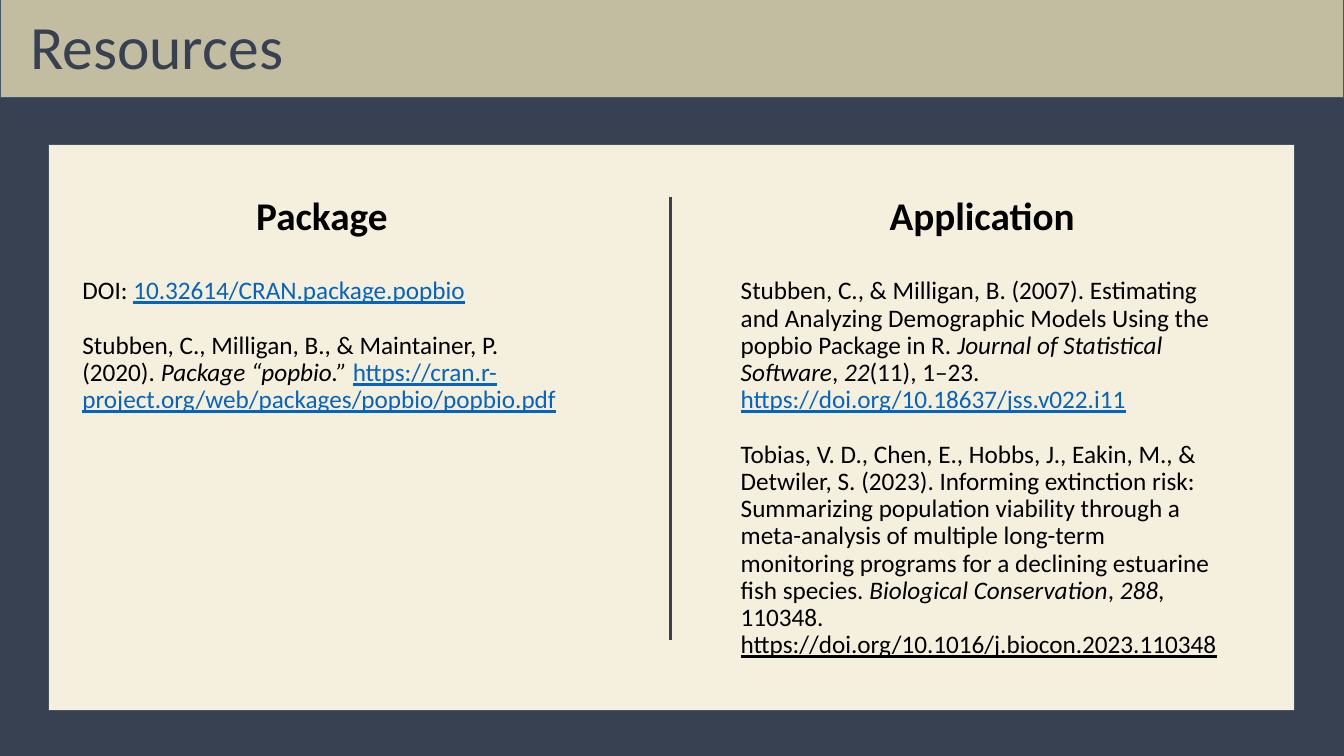
from dataclasses import dataclass

from lxml.etree import SubElement
from pptx import Presentation
from pptx.dml.color import RGBColor
from pptx.enum.shapes import MSO_CONNECTOR, MSO_SHAPE
from pptx.enum.text import MSO_ANCHOR, PP_ALIGN
from pptx.oxml.ns import qn
from pptx.util import Pt


@dataclass(frozen=True)
class Theme:
    font: str = "Calibri"
    navy: str = "374151"
    cream: str = "F5F0DE"
    gold: str = "FEF1C4"
    edge: str = "44546A"
    ink: str = "000000"
    link: str = "0563C1"
    title: int = 44
    head: int = 28
    body: int = 18


THEME = Theme()
PLAIN, ITALIC, LINK, UNDER = "plain", "italic", "link", "under"
WIDE, HIGH = 960, 540
COL_W = 359
HEAD_Y, HEAD_H = 133.2, 50.4
BODY_Y = 195.1

PACKAGE = [
    [("DOI: ", PLAIN), ("10.32614/CRAN.package.popbio", LINK)],
    [
        ("Stubben, C., Milligan, B., & Maintainer, P. (2020). ", PLAIN),
        ("Package “popbio.” ", ITALIC),
        ("https://cran.r-project.org/web/packages/popbio/popbio.pdf", LINK),
    ],
]
APPLICATION = [
    [
        ("Stubben, C., & Milligan, B. (2007). Estimating and Analyzing "
         "Demographic Models Using the popbio Package in R. ", PLAIN),
        ("Journal of Statistical Software", ITALIC),
        (", ", PLAIN),
        ("22", ITALIC),
        ("(11), 1–23. ", PLAIN),
        ("https://doi.org/10.18637/jss.v022.i11", LINK),
    ],
    [
        ("Tobias, V. D., Chen, E., Hobbs, J., Eakin, M., & Detwiler, S. (2023). "
         "Informing extinction risk: Summarizing population viability through a "
         "meta-analysis of multiple long-term monitoring programs for a "
         "declining estuarine fish species. ", PLAIN),
        ("Biological Conservation", ITALIC),
        (", ", PLAIN),
        ("288", ITALIC),
        (", 110348. ", PLAIN),
        ("https://doi.org/10.1016/j.biocon.2023.110348", UNDER),
    ],
]


def color(code):
    return RGBColor.from_string(code)


def add_panel(slide, x, y, w, h, fill, alpha=None):
    """Add an edged rectangle; alpha is its opacity in percent."""
    panel = slide.shapes.add_shape(MSO_SHAPE.RECTANGLE, Pt(x), Pt(y), Pt(w), Pt(h))
    panel.shadow.inherit = False
    panel.fill.solid()
    panel.fill.fore_color.rgb = color(fill)
    panel.line.color.rgb = color(THEME.edge)
    panel.line.width = Pt(0.75)
    if alpha is not None:
        tint = panel._element.spPr.find(qn("a:solidFill"))[0]
        SubElement(tint, qn("a:alpha")).set("val", str(alpha * 1000))


def add_rule(slide, x, top, end):
    rule = slide.shapes.add_connector(
        MSO_CONNECTOR.STRAIGHT, Pt(x), Pt(top), Pt(x), Pt(end))
    rule.line.color.rgb = color(THEME.navy)
    rule.line.width = Pt(2.25)
    SubElement(rule._element.spPr, qn("a:effectLst"))


def add_frame(slide, x, y, w, h, inset=3.6):
    frame = slide.shapes.add_textbox(Pt(x), Pt(y), Pt(w), Pt(h)).text_frame
    frame.word_wrap = True
    frame.margin_left = frame.margin_right = Pt(7.2)
    frame.margin_top = frame.margin_bottom = Pt(inset)
    return frame


def style_run(run, size, ink, bold=False):
    run.font.name = THEME.font
    run.font.size = Pt(size)
    run.font.color.rgb = color(ink)
    run.font.bold = bold


def add_label(frame, text, size, ink, bold=False, align=PP_ALIGN.LEFT):
    frame.text = text
    para = frame.paragraphs[0]
    para.alignment = align
    para.line_spacing = 0.9
    style_run(para.runs[0], size, ink, bold)


def add_refs(frame, refs):
    for index, parts in enumerate(refs):
        para = frame.add_paragraph() if index else frame.paragraphs[0]
        para.line_spacing = 0.9
        if index:
            para.space_before = Pt(19.5)
        for text, kind in parts:
            run = para.add_run()
            run.text = text
            style_run(run, THEME.body, THEME.link if kind == LINK else THEME.ink)
            run.font.italic = kind == ITALIC
            run.font.underline = kind in (LINK, UNDER)


def add_column(slide, head, head_x, refs, refs_x, refs_w, refs_h):
    add_label(add_frame(slide, head_x, HEAD_Y, COL_W, HEAD_H, 7.2), head,
              THEME.head, THEME.ink, True, PP_ALIGN.CENTER)
    add_refs(add_frame(slide, refs_x, BODY_Y, refs_w, refs_h), refs)


def main():
    deck = Presentation()
    deck.slide_width, deck.slide_height = Pt(WIDE), Pt(HIGH)
    slide = deck.slides.add_slide(deck.slide_layouts[6])
    slide.background.fill.solid()
    slide.background.fill.fore_color.rgb = color(THEME.navy)

    add_panel(slide, 34.6, 103, 890, 404.6, THEME.cream)
    add_rule(slide, 478.8, 140.4, 457.2)
    add_column(slide, "Package", 50.4, PACKAGE, 51.8, 355, 156)
    add_column(slide, "Application", 522, APPLICATION, 522, COL_W, 281)

    add_panel(slide, 0, 0, WIDE, 69.8, THEME.gold, 70)
    title = add_frame(slide, 14.4, 5, 928, 60.5)
    title.vertical_anchor = MSO_ANCHOR.MIDDLE
    add_label(title, "Resources", THEME.title, THEME.navy)
    deck.save("out.pptx")


if __name__ == "__main__":
    main()
